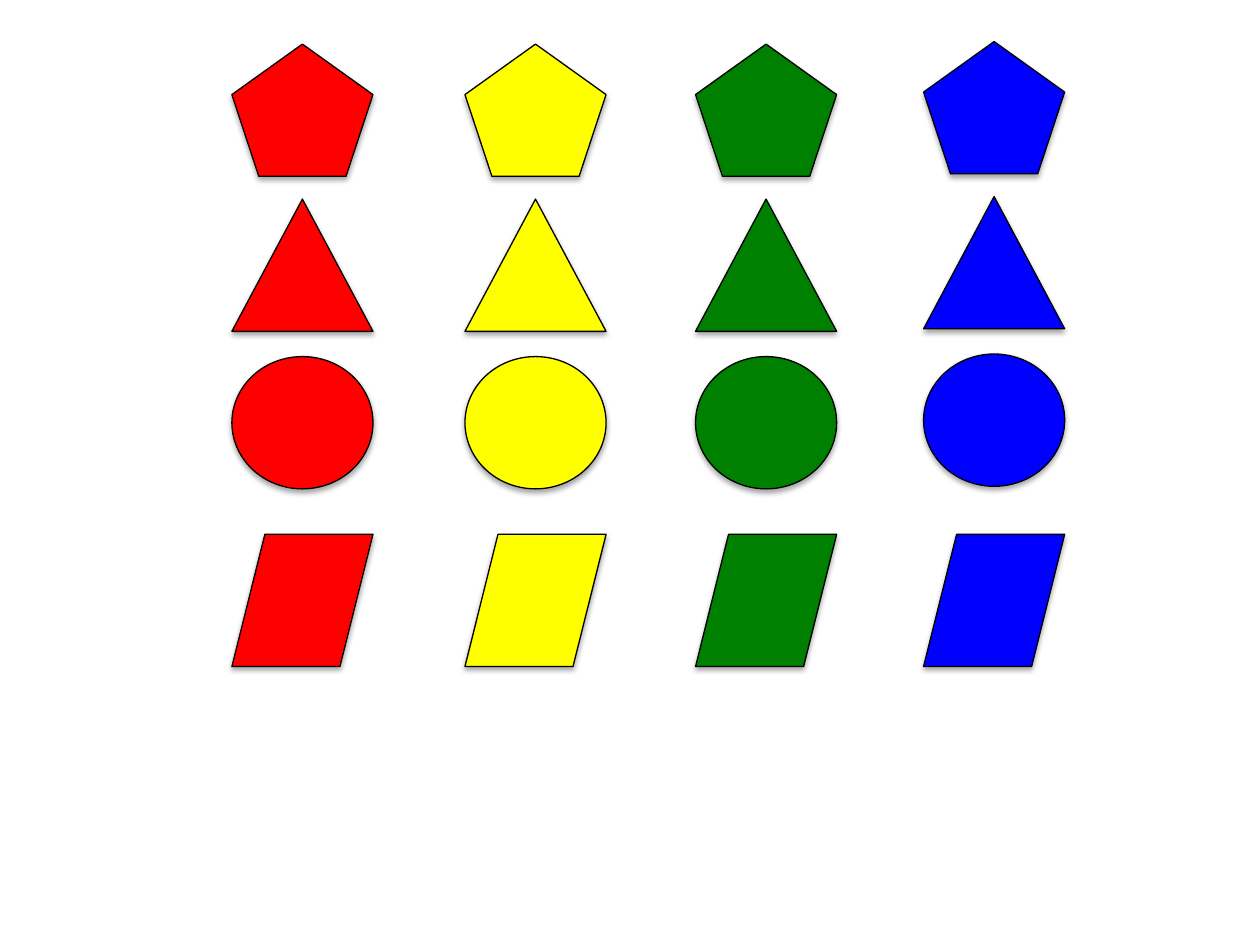
from dataclasses import dataclass

from lxml import etree
from pptx import Presentation
from pptx.dml.color import RGBColor
from pptx.enum.shapes import MSO_SHAPE
from pptx.oxml.ns import qn
from pptx.util import Inches, Pt

PENTAGON = MSO_SHAPE.REGULAR_PENTAGON
TRIANGLE = MSO_SHAPE.ISOSCELES_TRIANGLE
ELLIPSE = MSO_SHAPE.OVAL
PARALLELOGRAM = MSO_SHAPE.PARALLELOGRAM
BLANK_LAYOUT = 6
WIDTH, HEIGHT = 1.12, 1.05


@dataclass(frozen=True)
class Row:
    """One kind of shape; lift raises its blue member."""
    kind: MSO_SHAPE
    top: float
    lift: float = 0.02


@dataclass(frozen=True)
class Column:
    """One colour, and whether its shapes take the row's lift."""
    left: float
    color: str
    lifted: bool = False


ROWS = [
    Row(TRIANGLE, 1.58),
    Row(ELLIPSE, 2.83),
    Row(PENTAGON, 0.35),
    Row(PARALLELOGRAM, 4.24, lift=0),
]
COLUMNS = [
    Column(1.84, "FF0000"),
    Column(3.69, "FFFF00"),
    Column(5.52, "008000"),
    Column(7.33, "0000FF", lifted=True),
]


def rgb(color: str) -> RGBColor:
    """Turn a hex string into a colour."""
    return RGBColor.from_string(color)


def add_shadow(sp) -> None:
    """Give a shape a soft black shadow straight below it."""
    sp.shadow.inherit = False
    effects = sp._element.spPr.find(qn("a:effectLst"))
    shadow = etree.SubElement(
        effects, qn("a:outerShdw"), blurRad="40000", dist="23000",
        dir="5400000", rotWithShape="0")
    black = etree.SubElement(shadow, qn("a:srgbClr"), val="000000")
    etree.SubElement(black, qn("a:alpha"), val="35000")


def add_figure(s, row: Row, column: Column) -> None:
    """Draw the shape where a row and a column meet."""
    top = row.top - (row.lift if column.lifted else 0)
    sp = s.shapes.add_shape(row.kind, Inches(column.left), Inches(top),
                            Inches(WIDTH), Inches(HEIGHT))
    sp.fill.solid()
    sp.fill.fore_color.rgb = rgb(column.color)
    sp.line.color.rgb = rgb("000000")
    sp.line.width = Pt(0.75)
    add_shadow(sp)


def main() -> None:
    """Build the slide and save it."""
    prs = Presentation()
    prs.slide_width, prs.slide_height = Inches(10), Inches(7.5)
    s = prs.slides.add_slide(prs.slide_layouts[BLANK_LAYOUT])
    for row in ROWS:
        for column in COLUMNS:
            add_figure(s, row, column)
    prs.save("out.pptx")


main()
